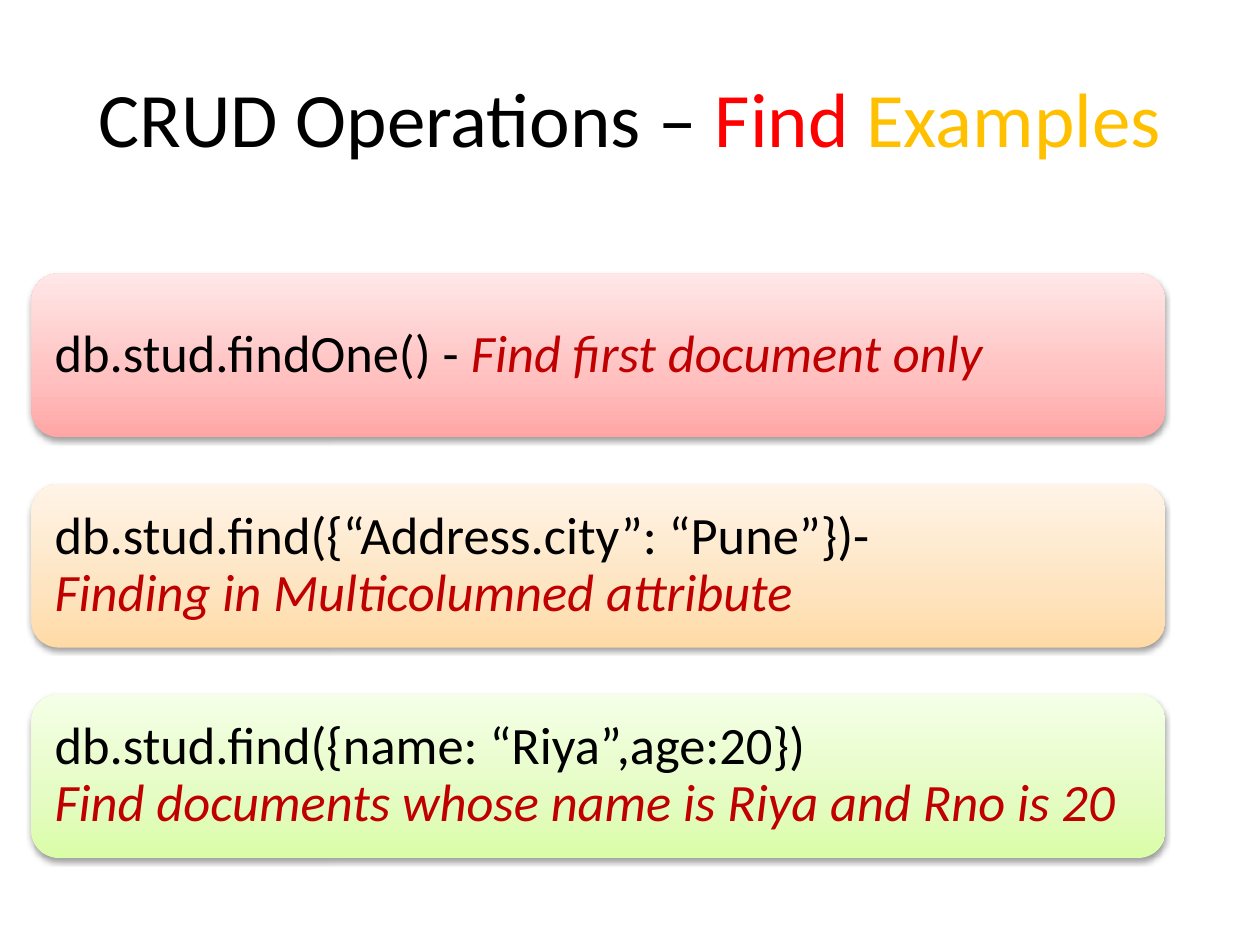
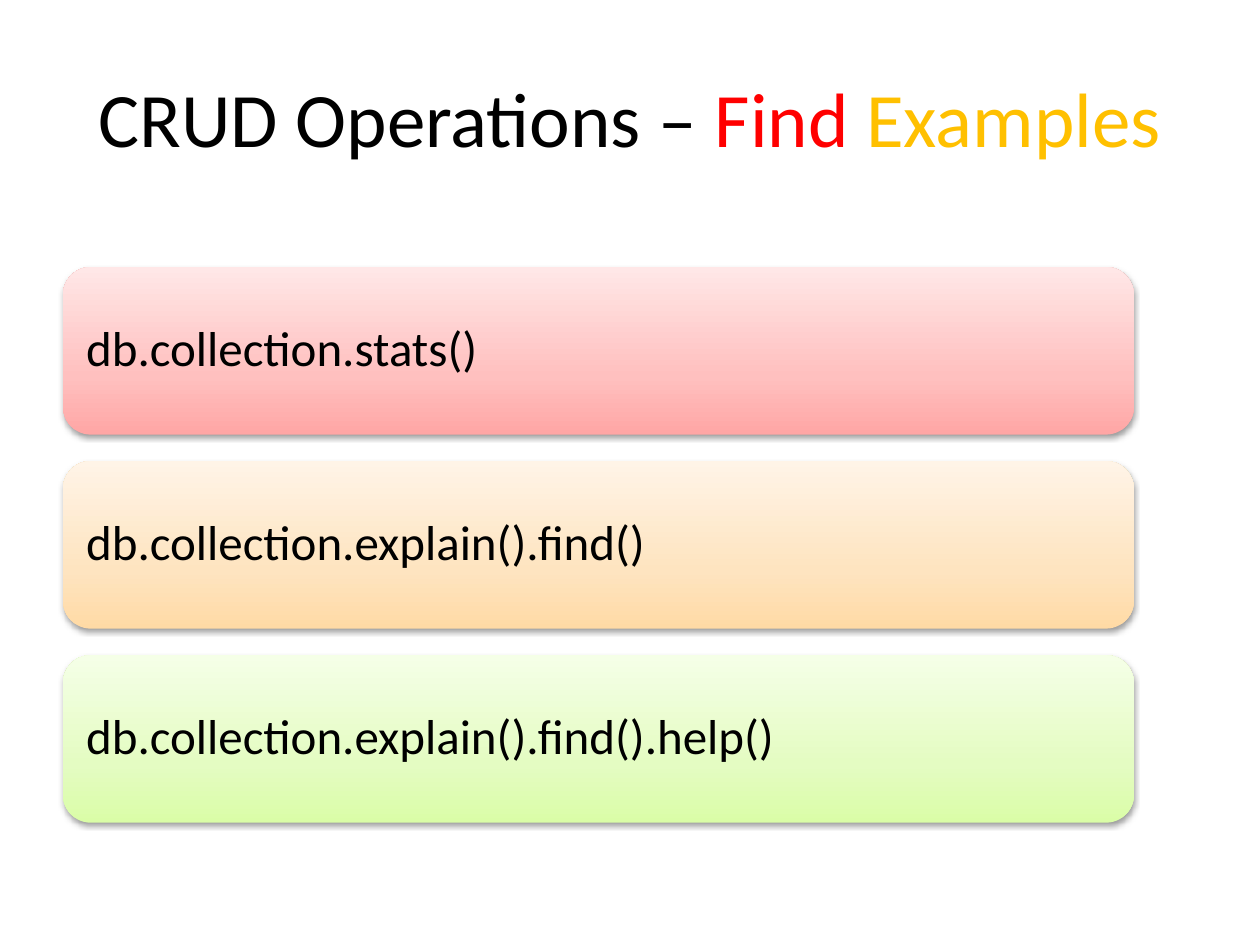
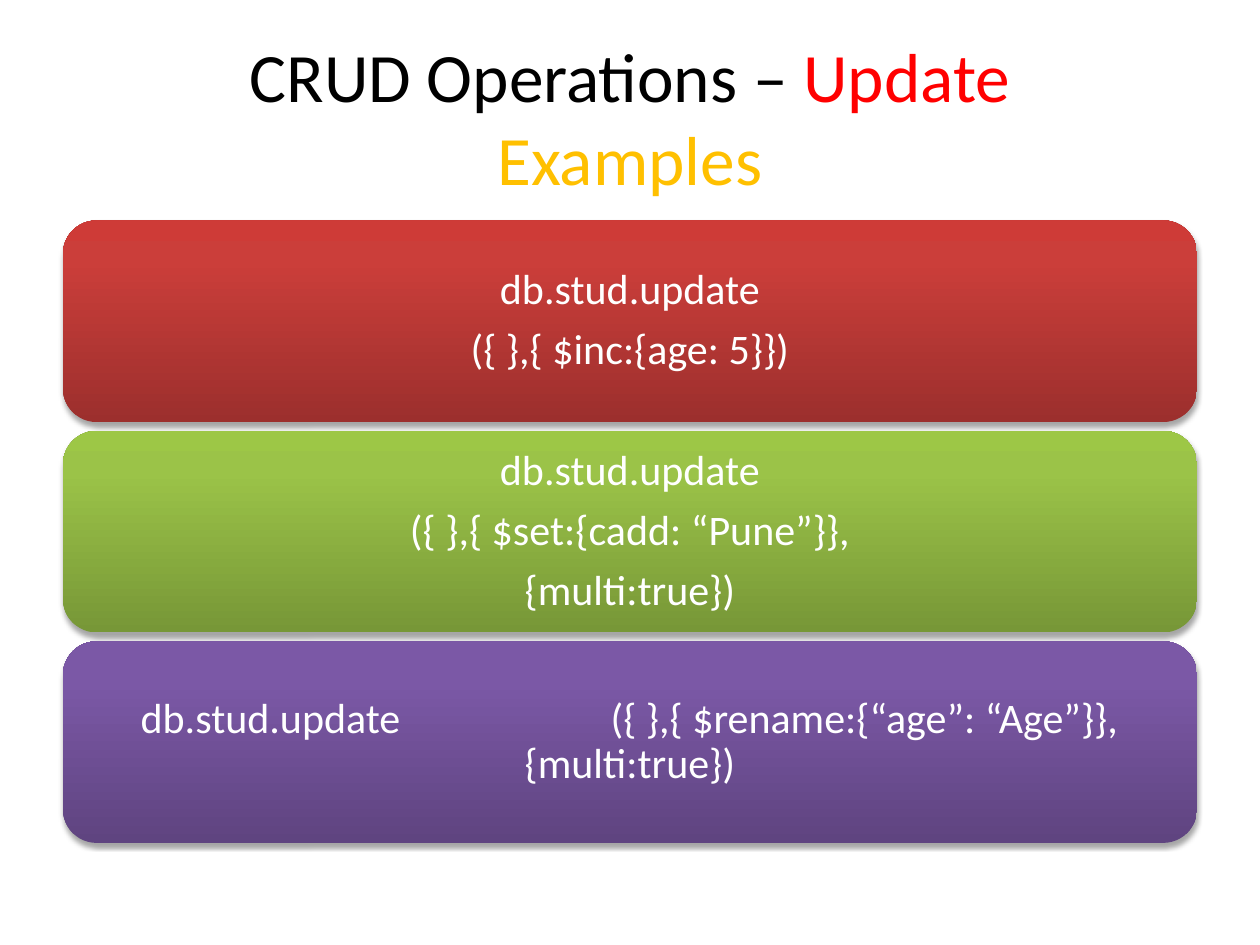
from copy import deepcopy

from lxml import etree
from pptx import Presentation
from pptx import util as u
from pptx.dml.color import RGBColor
from pptx.enum import shapes, text
from pptx.oxml import ns

COLORS = {
    "ink": "000000",
    "white": "FFFFFF",
    "operation": "FF0000",
    "examples": "FFC000",
    "remark": "C00000",
}
GRADIENTS = {
    "pale red": ((0, "FFA6A5"), (35, "FFC0BF"), (100, "FFE7E7")),
    "pale orange": ((0, "FFDAA5"), (35, "FEE4C0"), (100, "FFF4E7")),
    "pale green": ((0, "DAFDA7"), (35, "E4FCC2"), (100, "F5FFE7")),
    "red": ((0, "9C2F2D"), (80, "CB3E3A"), (100, "CE3B37")),
    "green": ((0, "779737"), (80, "9BC348"), (100, "9DC746")),
    "purple": ((0, "5F4480"), (80, "7B58A6"), (100, "7C57A8")),
}
PALE = ("pale red", "pale orange", "pale green")
STRONG = ("red", "green", "purple")
FONT = "Calibri"


def rgb(name):
    return RGBColor.from_string(COLORS[name])


def add_element(parent, tag, **attributes):
    element = etree.SubElement(parent, ns.qn(tag))
    for key, value in attributes.items():
        element.set(key, str(value))
    return element


class Deck:
    def __init__(self):
        self.prs = Presentation()
        self.prs.slide_width = u.Inches(10)
        self.prs.slide_height = u.Inches(7.5)
        self.slide = None

    def new_slide(self, operation, size=44, separator=" "):
        self.slide = self.prs.slides.add_slide(self.prs.slide_layouts[5])
        title = self.slide.shapes.title
        title.left, title.top = u.Inches(0.5), u.Inches(0.3)
        title.width, title.height = u.Inches(9), u.Inches(1.25)
        title.text_frame.vertical_anchor = text.MSO_ANCHOR.MIDDLE
        heading = title.text_frame.paragraphs[0]
        heading.alignment = text.PP_ALIGN.CENTER
        self.set_font(heading, size)
        self.add_run(heading, "CRUD Operations – ", "ink")
        self.add_run(heading, operation, "operation")
        self.add_run(heading, separator + "Examples", "examples")

    def set_font(self, paragraph, size):
        paragraph.font.name = FONT
        paragraph.font.size = u.Pt(size)

    def add_run(self, paragraph, words, color, italic=None):
        for index, line in enumerate(words.split("\n")):
            if index:
                paragraph.add_line_break()
            if line:
                run = paragraph.add_run()
                run.text = line
                run.font.color.rgb = rgb(color)
                run.font.italic = italic

    def card(self, left, top, width, height, gradient, shadow, insets):
        card = self.slide.shapes.add_shape(
            shapes.MSO_SHAPE.ROUNDED_RECTANGLE,
            u.Inches(left), u.Inches(top), u.Inches(width), u.Inches(height))
        card.line.fill.background()
        self.paint(card, GRADIENTS[gradient])
        self.cast_shadow(card, *shadow)
        frame = card.text_frame
        frame.word_wrap = True
        frame.vertical_anchor = text.MSO_ANCHOR.MIDDLE
        frame.margin_left = frame.margin_right = u.Inches(insets[0])
        frame.margin_top = frame.margin_bottom = u.Inches(insets[1])
        return frame

    def paint(self, card, stops):
        card.fill.gradient()
        card.fill.gradient_angle = 90
        stop_list = card._element.spPr.find(".//" + ns.qn("a:gsLst"))
        stop_list.insert(1, deepcopy(stop_list[0]))
        for stop, (percent, color) in zip(card.fill.gradient_stops, stops):
            stop.position = percent / 100
            stop.color.rgb = RGBColor.from_string(color)

    def cast_shadow(self, card, distance, opacity):
        card.shadow.inherit = False
        effects = card._element.spPr.find(ns.qn("a:effectLst"))
        outer = add_element(effects, "a:outerShdw", blurRad=u.Pt(3.1),
                            dist=u.Pt(distance), dir=5400000, rotWithShape=0)
        color = add_element(outer, "a:srgbClr", val=COLORS["ink"])
        add_element(color, "a:alpha", val=opacity * 1000)

    def card_line(self, frame, index, size, align, tabs=(), gap=0):
        line = frame.add_paragraph() if index else frame.paragraphs[0]
        line.alignment = align
        line.line_spacing = 0.9
        if index:
            line.space_before = u.Pt(gap)
        if tabs:
            tab_list = add_element(line._p.get_or_add_pPr(), "a:tabLst")
            for position in tabs:
                add_element(tab_list, "a:tab", pos=u.Inches(position), algn="l")
        self.set_font(line, size)
        return line

    def command_cards(self, commands, left, top, width, height, step, size):
        for index, (command, remark) in enumerate(commands):
            frame = self.card(left, top + index * step, width, height,
                              PALE[index], (1.6, 38), (0.12, 0.12))
            line = self.card_line(frame, 0, size, text.PP_ALIGN.LEFT)
            self.add_run(line, command, "ink")
            self.add_run(line, remark, "remark", True)

    def update_cards(self, updates, left, top, width, height, step, size, tabs):
        for index, (lines, gap) in enumerate(updates):
            frame = self.card(left, top + index * step, width, height,
                              STRONG[index], (1.8, 35), (0.1, 0.05))
            for number, words in enumerate(lines):
                tabbed = "\t" in words
                align = text.PP_ALIGN.LEFT if tabbed else text.PP_ALIGN.CENTER
                line = self.card_line(frame, number, size, align,
                                      tabs if tabbed else (), gap)
                line.font.color.rgb = rgb("white")
                self.add_run(line, words, "white")


def main():
    deck = Deck()

    deck.new_slide("Find")
    deck.command_cards([
        ("db.stud.findOne() - ", "Find first document only"),
        ("db.stud.find({“Address.city”: “Pune”})-\n",
         "Finding in Multicolumned attribute"),
        ("db.stud.find({name: “Riya”,age:20})\n",
         "Find documents whose name is Riya and Rno is 20"),
    ], left=0.25, top=2.17, width=9, height=1.3, step=1.67, size=30)

    deck.new_slide("Find")
    deck.command_cards([
        ("db.collection.stats()", ""),
        ("db.collection.explain().find()", ""),
        ("db.collection.explain().find().help()", ""),
    ], left=0.5, top=2.12, width=8.5, height=1.33, step=1.54, size=28)

    deck.new_slide("Update", size=39.6, separator="\n")
    deck.update_cards([
        (["db.stud.update", "({ },{ $inc:{age: 5}})"], 8.4),
        (["db.stud.update", "({ },{ $set:{cadd: “Pune”}},", "{multi:true})"], 8.4),
        (["\tdb.stud.update\t({ },{ $rename:{“age”: “Age”}},", "{multi:true})"], 0),
    ], left=0.5, top=1.75, width=9, height=1.6, step=1.67, size=24,
        tabs=(0.44, 4.17))

    deck.prs.save("out.pptx")


if __name__ == "__main__":
    main()
